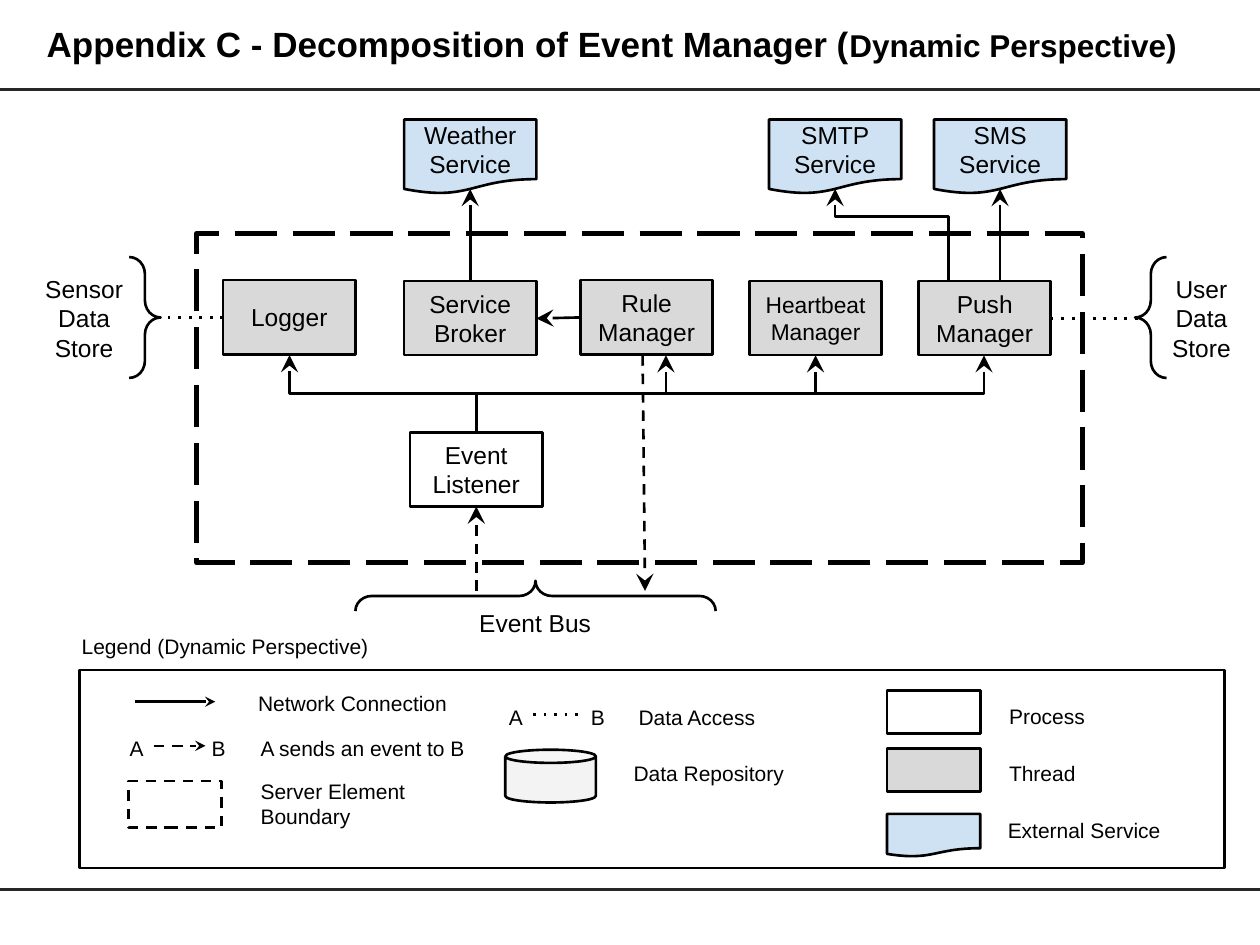
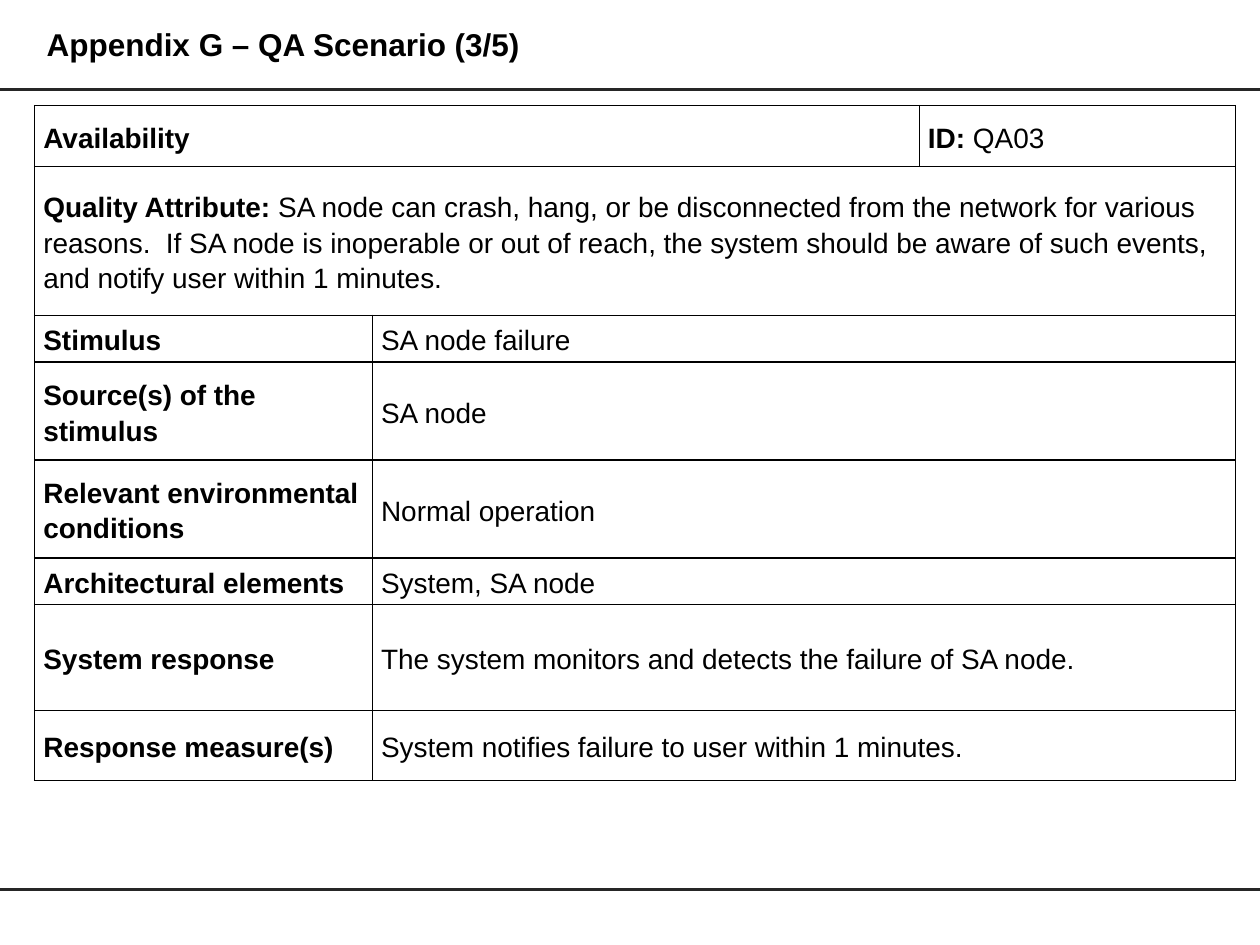
from lxml import etree
from pptx import Presentation
from pptx.dml.color import RGBColor
from pptx.enum import shapes, text
from pptx.oxml import ns
from pptx.util import Pt

BLACK = RGBColor(0x00, 0x00, 0x00)
WHITE = RGBColor(0xFF, 0xFF, 0xFF)
RULE = RGBColor(0x26, 0x26, 0x26)
GREY = RGBColor(0xD9, 0xD9, 0xD9)
PALE = RGBColor(0xF3, 0xF3, 0xF3)
BLUE = RGBColor(0xCF, 0xE2, 0xF3)

KIND = shapes.MSO_SHAPE
RECT, DOC = KIND.RECTANGLE, KIND.FLOWCHART_DOCUMENT
MID, TOP = text.MSO_ANCHOR.MIDDLE, text.MSO_ANCHOR.TOP
LEFT, CENTER = text.PP_ALIGN.LEFT, text.PP_ALIGN.CENTER
FONT = "Arial"
WIDE, HIGH = 720, 540
RULES = (51.1, 508.3)
PAD = 7.2

# Slide 1: the parts of the event manager, all boxes of one size
TITLE_C = [("Appendix C - Decomposition of Event Manager (", 20, True),
           ("Dynamic Perspective)", 18, True)]
BOX_W, BOX_H = 75.6, 42.5
NODES = [  # words, left, top, size, kind, fill
    ("Logger", 127.5, 160, 14, RECT, GREY),
    ("Service Broker", 230.9, 160.5, 14, RECT, GREY),
    ("Rule Manager", 331.7, 160, 14, RECT, GREY),
    ("Heartbeat Manager", 428.2, 160.5, 13, RECT, GREY),
    ("Push Manager", 524.9, 160.5, 14, RECT, GREY),
    ("Event Listener", 234.3, 247, 14, RECT, WHITE),
    ("Weather Service", 230.9, 68.3, 14, DOC, BLUE),
    ("SMTP Service", 439.4, 68.3, 14, DOC, BLUE),
    ("SMS Service", 533.7, 68.3, 14, DOC, BLUE),
]
BOUND = (112.4, 133.6, 506, 188)
STORES = [  # words, box
    ("Event Bus", (218, 343.6, 175.7, 25)),
    ("Sensor Data Store", (11.7, 150.5, 72.7, 62.6)),
    ("User Data Store", (661.7, 150.5, 49.7, 62.6)),
]
BRACES = [  # box before turning, angle
    ((297.4, 237.6, 17.3, 205.9), 270),
    ((73.8, 146.9, 18, 69.1), 0),
    ((648.6, 146.9, 18, 69.1), 180),
]
LINES = [  # start, end, dash, head
    ((272.2, 337.7), (272.2, 289.5), "dash", "lg"),
    ((367.2, 203), (368.6, 337.7), "dash", "lg"),
    ((331.7, 181.4), (306.5, 182), None, "lg"),
    ((268.7, 160.5), (268.7, 108), None, "lg"),
    ((571.5, 160.5), (571.5, 108), None, "lg"),
    ((127.5, 181.6), (92.2, 181.6), "dot", None),
    ((600.5, 182), (651.6, 182), "dot", None),
    ((77, 401), (123, 401), None, "med"),
    ((87.8, 426.2), (117.4, 426.2), "dash", "med"),
    ((304.6, 408.2), (334.1, 408.2), "dot", None),
]
FORK = (272.2, 247)
FORK_TOP = 203
FORK_TO = (165.4, 562.3, 380.5, 466)
BEND = ((542, 160), (477.2, 108), 0.7)

# Slide 1: legend
KEY_BOX = (45.4, 383, 654.5, 113)
KEY_W, KEY_H = 53.3, 24.5
KEYS = [  # box, kind, fill, dash
    ((506.9, 394.6, KEY_W, KEY_H), RECT, WHITE, None),
    ((506.9, 427.7, KEY_W, KEY_H), RECT, GREY, None),
    ((506.9, 465.1, KEY_W, KEY_H), DOC, BLUE, None),
    ((288.7, 428.4, 51.8, 30.2), KIND.CAN, PALE, None),
    ((73.4, 446.4, KEY_W, 26.6), RECT, WHITE, "dash"),
]
NOTES = [  # words, left, top, width
    ("Legend (Dynamic Perspective)", 39.6, 355, 200),
    ("Network Connection", 140.4, 387.4, 143),
    ("A", 67, 413.3, 21), ("B", 113.8, 413.3, 21),
    ("A sends an event to B", 141.8, 413.3, 143),
    ("Server Element Boundary", 141.8, 437.8, 143),
    ("A", 283.7, 395.3, 21), ("B", 330.5, 395.3, 21),
    ("Data Access", 357.8, 395.3, 143),
    ("Data Repository", 355, 427.7, 114),
    ("Process", 569.5, 394.6, 65),
    ("Thread", 569.5, 427.7, 65),
    ("External Service", 568.8, 460.1, 114),
]

# Slide 2: the scenario; each cell is a bold lead and plain words
TITLE_G = [("Appendix G – QA Scenario (3/5)", 18, True)]
GRID = (19.8, 60.3)
COLS = (193, 312.5, 180.7)
ROWS = [  # height, {column: (lead, words)}
    (35, {0: ("Availability", ""), 2: ("ID: ", "QA03")}),
    (85, {0: ("Quality Attribute:",
              " SA node can crash, hang, or be disconnected from the network "
              "for various reasons.  If SA node is inoperable or out of reach, "
              "the system should be aware of such events, and notify user "
              "within 1 minutes.")}),
    (26.7, {0: ("Stimulus", ""), 1: ("", "SA node failure")}),
    (56, {0: ("Source(s) of the stimulus", ""), 1: ("", "SA node")}),
    (56, {0: ("Relevant environmental conditions", ""),
          1: ("", "Normal operation")}),
    (26.7, {0: ("Architectural elements", ""), 1: ("", "System, SA node")}),
    (60.3, {0: ("System response", ""),
            1: ("", "The system monitors and detects the failure of SA node.")}),
    (40.3, {0: ("Response measure(s)", ""),
            1: ("", "System notifies failure to user within 1 minutes.")}),
]


def assign(item, vals):
    """Set each named attribute of an item."""
    for name, val in vals.items():
        setattr(item, name, val)


def child(node, tag, **vals):
    """Append one XML element and return it."""
    return etree.SubElement(node, ns.qn(tag), vals)


def write(frame, runs, align=LEFT, space=1.0):
    """Fill a text frame with one paragraph of (words, size, bold) runs."""
    para = frame.paragraphs[0]
    assign(para, {"alignment": align, "line_spacing": space})
    for words, size, bold in runs:
        if words:
            run = para.add_run()
            run.text = words
            assign(run.font, {"name": FONT, "size": Pt(size), "bold": bold})
            run.font.color.rgb = BLACK


def setup(frame, anchor):
    """Give a frame wrapping, an anchor and equal margins."""
    sides = ("left", "top", "right", "bottom")
    assign(frame, {f"margin_{side}": Pt(PAD) for side in sides})
    assign(frame, {"word_wrap": True, "vertical_anchor": anchor})


def label(slide, box, runs, anchor=TOP, space=1.0):
    """Add a text box."""
    frame = slide.shapes.add_textbox(*map(Pt, box)).text_frame
    setup(frame, anchor)
    write(frame, runs, space=space)


def stroke(item, width=1.5, color=BLACK, dash=None, head=None):
    """Style the line of a shape or connector."""
    item.line.color.rgb = color
    item.line.width = Pt(width)
    pen = item._element.spPr.find(ns.qn("a:ln"))
    if dash:
        child(pen, "a:prstDash", val=dash)
    if head:
        child(pen, "a:tailEnd", type="stealth", w=head, len=head)


def shape(slide, box, kind=RECT, fill=None, words="", size=14, pen=1.5, dash=None):
    """Add a preset shape with centred words; pen 0 means no outline."""
    item = slide.shapes.add_shape(kind, *map(Pt, box))
    item.shadow.inherit = False
    if fill is None:
        item.fill.background()
    else:
        item.fill.solid()
        item.fill.fore_color.rgb = fill
    if pen:
        stroke(item, pen, dash=dash)
    else:
        item.line.fill.background()
    if words:
        setup(item.text_frame, MID)
        write(item.text_frame, [(words, size, False)], CENTER)
    return item


def link(slide, start, end, kind=shapes.MSO_CONNECTOR.STRAIGHT, **style):
    """Add a connector without shadow."""
    item = slide.shapes.add_connector(kind, *map(Pt, (*start, *end)))
    stroke(item, **style)
    child(item._element.spPr, "a:effectLst")
    return item


def elbow(slide, start, end, bend=0.5):
    """Add an arrow that goes up, sideways and up again."""
    (x1, y1), (x2, y2) = start, end
    midx, midy = (x1 + x2) / 2, (y1 + y2) / 2
    run, rise = (x2 - x1) / 2, (y1 - y2) / 2
    item = link(slide, (midx - rise, midy - run), (midx + rise, midy + run),
                shapes.MSO_CONNECTOR.ELBOW, head="lg")
    props = item._element.spPr
    props.find(ns.qn("a:xfrm")).set("rot", str(270 * 60000))
    geom = props.find(ns.qn("a:prstGeom"))
    guides = geom.find(ns.qn("a:avLst"))
    if guides is None:
        guides = child(geom, "a:avLst")
    child(guides, "a:gd", name="adj1", fmla=f"val {round(bend * 100000)}")


def base(deck, title):
    """Add a slide with its rules and title."""
    slide = deck.slides.add_slide(deck.slide_layouts[6])
    for y in RULES:
        link(slide, (0, y), (WIDE, y), width=1.75, color=RULE)
    label(slide, (19.6, 7.2, 686, 38), title, MID, 0.9)
    return slide


def diagram(deck):
    """Build the decomposition slide."""
    slide = base(deck, TITLE_C)
    shape(slide, BOUND, pen=3, dash="lgDash")
    shape(slide, KEY_BOX)
    for words, box in STORES:
        shape(slide, box, fill=WHITE, words=words, pen=0)
    for words, x, y, size, kind, fill in NODES:
        shape(slide, (x, y, BOX_W, BOX_H), kind, fill, words, size)
    for box, angle in BRACES:
        brace = shape(slide, box, KIND.RIGHT_BRACE)
        brace.rotation = angle
        brace.adjustments[0] = 0.54
    for box, kind, fill, dash in KEYS:
        shape(slide, box, kind, fill, dash=dash)
    for words, x, y, width in NOTES:
        label(slide, (x, y, width, 26.6), [(words, 12, False)])
    for start, end, dash, head in LINES:
        link(slide, start, end, dash=dash, head=head)
    for x in FORK_TO:
        elbow(slide, FORK, (x, FORK_TOP))
    elbow(slide, *BEND)


def border(cell):
    """Draw the four sides of a cell, ahead of its fill."""
    props = cell._tc.get_or_add_tcPr()
    for spot, side in enumerate(("a:lnL", "a:lnR", "a:lnT", "a:lnB")):
        pen = child(props, side, w=str(Pt(1)))
        child(child(pen, "a:solidFill"), "a:srgbClr", val=str(BLACK))
        props.insert(spot, pen)


def scenario(deck):
    """Build the scenario table slide."""
    slide = base(deck, TITLE_G)
    size = (sum(COLS), sum(high for high, _ in ROWS))
    grid = slide.shapes.add_table(len(ROWS), len(COLS),
                                  *map(Pt, GRID + size)).table
    assign(grid, {"first_row": False, "horz_banding": False})
    for col, width in zip(grid.columns, COLS):
        col.width = Pt(width)
    look = {"margin_left": Pt(5), "margin_right": Pt(5), "margin_top": 0,
            "margin_bottom": 0, "vertical_anchor": MID}
    for r, (high, cells) in enumerate(ROWS):
        grid.rows[r].height = Pt(high)
        for c in range(len(COLS)):
            cell = grid.cell(r, c)
            cell.fill.background()
            border(cell)
            assign(cell, look)
        stops = [*cells, len(COLS)]
        for c, stop in zip(stops, stops[1:]):
            cell = grid.cell(r, c)
            if stop - c > 1:
                cell.merge(grid.cell(r, stop - 1))
            lead, words = cells[c]
            write(cell.text_frame, [(lead, 16, True), (words, 16, False)],
                  space=1.15)


deck = Presentation()
assign(deck, {"slide_width": Pt(WIDE), "slide_height": Pt(HIGH)})
diagram(deck)
scenario(deck)
deck.save("out.pptx")
